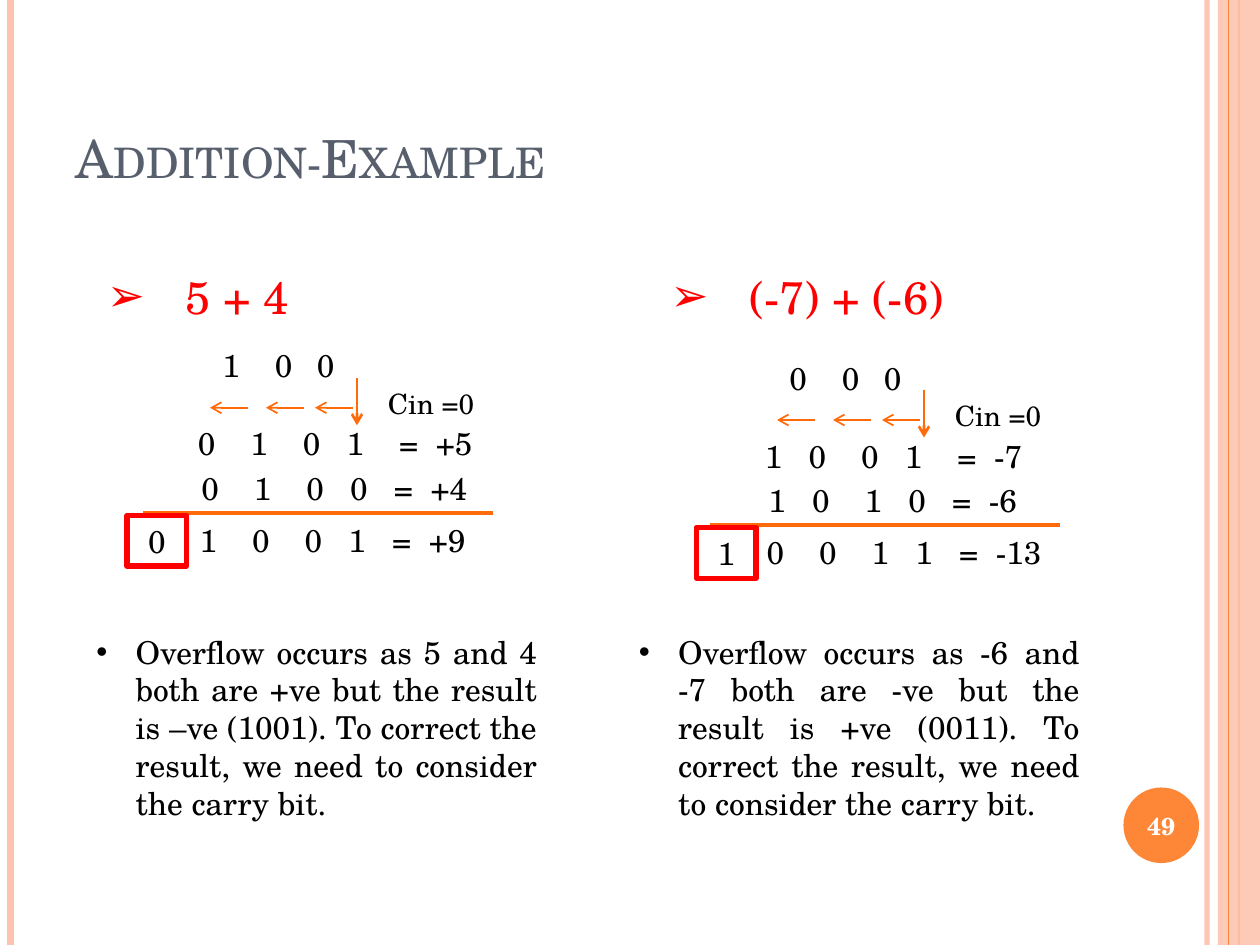
import itertools

import pptx
import pptx.dml.color
import pptx.enum.shapes
import pptx.enum.text
import pptx.oxml.ns
import pptx.oxml.xmlchemy
import pptx.util

Pt = pptx.util.Pt
qn = pptx.oxml.ns.qn
SHAPE = pptx.enum.shapes.MSO_SHAPE
ALIGN = pptx.enum.text.PP_ALIGN
ANCHOR = pptx.enum.text.MSO_ANCHOR

FONT = "TeX Gyre Schola"
COLORS = {
    "pink": "FEC3AE",
    "orange": "FE8637",
    "arrow": "FF6B0A",
    "title": "575F6D",
    "red": "FF0000",
    "black": "000000",
    "white": "FFFFFF",
}


def sub(parent, tag, **attrs):
    el = pptx.oxml.xmlchemy.OxmlElement(tag)
    for key, value in attrs.items():
        el.set(key, str(value))
    parent.append(el)
    return el


class Deck:
    def __init__(self, width, height):
        self.prs = pptx.Presentation()
        self.prs.slide_width, self.prs.slide_height = Pt(width), Pt(height)
        self.s = self.prs.slides.add_slide(self.prs.slide_layouts[5])

    def paint(self, fmt, color, opacity=100):
        fmt.solid()
        fmt.fore_color.rgb = pptx.dml.color.RGBColor.from_string(COLORS[color])
        if opacity < 100:
            clr = fmt._xPr.find(qn("a:solidFill"))[0]
            sub(clr, "a:alpha", val=opacity * 1000)

    def run(self, p, text, size, color, bold=False):
        r = p.add_run()
        r.text = text
        r.font.name, r.font.size, r.font.bold = FONT, Pt(size), bold
        self.paint(r.font.fill, color)
        return r

    def title(self, text, x, y, w, h):
        sp = self.s.shapes.title
        sp.left, sp.top, sp.width, sp.height = Pt(x), Pt(y), Pt(w), Pt(h)
        tf = sp.text_frame
        tf.word_wrap = True
        tf.auto_size = pptx.enum.text.MSO_AUTO_SIZE.NONE
        tf.vertical_anchor = ANCHOR.BOTTOM
        p = tf.paragraphs[0]
        p.alignment = ALIGN.LEFT
        r = self.run(p, text, 30, "title")
        r._r.get_or_add_rPr().set("cap", "small")

    def text(self, text, x, y, w, h, size=18, color="black", align=ALIGN.LEFT):
        sp = self.s.shapes.add_textbox(Pt(x), Pt(y), Pt(w), Pt(h))
        sp.text_frame.word_wrap = True
        p = sp.text_frame.paragraphs[0]
        p.alignment = align
        self.run(p, text, size, color)
        return p

    def bullet(self, char, indent, *args, **style):
        pPr = self.text(*args, **style)._p.get_or_add_pPr()
        pPr.set("marL", str(Pt(indent)))
        pPr.set("indent", str(-Pt(indent)))
        sub(pPr, "a:buFont", typeface="Arial")
        sub(pPr, "a:buChar", char=char)

    def sum_row(self, text, steps, x, y):
        words = text.split()
        p = self.text(words[0], x, y, 190, 29)
        for word in words[1:]:
            self.run(p, "\t" + word, 18, "black")
        tabs = sub(p._p.get_or_add_pPr(), "a:tabLst")
        for pos in itertools.accumulate(steps):
            sub(tabs, "a:tab", pos=Pt(pos), algn="l")

    def shape(self, kind, x, y, w, h, fill=None, line=None, opacity=100,
              text=None, size=18, color="black", bold=False):
        sp = self.s.shapes.add_shape(kind, Pt(x), Pt(y), Pt(w), Pt(h))
        sp.shadow.inherit = False
        if fill:
            self.paint(sp.fill, fill, opacity)
        else:
            sp.fill.background()
        if line:
            self.paint(sp.line.fill, line)
            sp.line.width = Pt(3)
        else:
            sp.line.fill.background()
        if text:
            tf = sp.text_frame
            tf.margin_left = tf.margin_right = 0
            tf.vertical_anchor = ANCHOR.MIDDLE
            p = tf.paragraphs[0]
            p.alignment = ALIGN.CENTER
            self.run(p, text, size, color, bold)

    def line(self, x1, y1, x2, y2, color, width, opacity=100, arrow=False):
        c = self.s.shapes.add_connector(
            pptx.enum.shapes.MSO_CONNECTOR.STRAIGHT, Pt(x1), Pt(y1), Pt(x2), Pt(y2))
        self.paint(c.line.fill, color, opacity)
        c.line.width = Pt(width)
        if arrow:
            sub(c.line._get_or_add_ln(), "a:tailEnd", type="arrow")
        sub(c._element.spPr, "a:effectLst")

    def addition(self, dx, dy, carries, rows, carry_out, box_x):
        for x, tip, digit in zip((120, 150, 174), (120, 152, 180), carries):
            self.text(digit, dx + x, dy + 194.4, 18, 29)
            self.line(dx + tip + 22, dy + 233, dx + tip, dy + 233, "arrow", 1, arrow=True)
        self.line(dx + 204, dy + 216, dx + 204, dy + 243, "arrow", 1.5, arrow=True)
        self.text("Cin =0", dx + 214.6, dy + 217.4, 75, 27, size=16)
        for (text, steps), x, y in zip(rows, (106, 108, 107), (239, 264.2, 294)):
            self.sum_row(text, steps, dx + x, dy + y)
        self.line(dx + 82, dy + 293, dx + 282, dy + 293, "arrow", 2.25)
        self.shape(SHAPE.RECTANGLE, box_x, dy + 294.4, 34, 29, line="red", text=carry_out)


def main():
    deck = Deck(720, 540)

    for x, color, width, opacity in (
            (689.8, "pink", 3, 93), (6, "pink", 4.5, 100), (708, "orange", 1.5, 100)):
        deck.line(x, 0, x, 540, color, width, opacity)
    deck.shape(SHAPE.RECTANGLE, 696, 0, 24, 540, fill="pink", opacity=87)
    deck.line(702, 0, 702, 540, "orange", 0.75)
    deck.shape(SHAPE.OVAL, 642, 450, 43.2, 43.2, fill="orange",
               text="49", size=14, color="white", bold=True)
    deck.title("Addition-Example", 36, 21.6, 588, 90)

    wide, narrow, value = 30, 25, 21
    result = (wide, wide, narrow, narrow, value)
    deck.addition(0, 0, "100", (
        ("0 1 0 1 = +5", (wide, wide, narrow, wide, value)),
        ("0 1 0 0 = +4", result),
        ("1 0 0 1 = +9", result)), "0", 72.6)
    deck.addition(324, 7, "000", (
        ("1 0 0 1 = -7", (narrow, wide, narrow, wide, value)),
        ("1 0 1 0 = -6", (narrow, wide, narrow, narrow, value)),
        ("0 0 1 1 = -13", result)), "1", 398)

    for head_x, head, note_x, note in (
            (54, "5 + 4", 48,
             "Overflow occurs as 5 and 4 both are +ve but the result is –ve (1001). "
             "To correct the result, we need to consider the carry bit."),
            (376, "(-7) + (-6)", 358,
             "Overflow occurs as -6 and -7 both are -ve but the result is +ve (0011). "
             "To correct the result, we need to consider the carry bit.")):
        deck.bullet("➢", 45, head, head_x, 150, 278, 39, size=26, color="red")
        deck.bullet("•", 22.5, note, note_x, 358, 266, 117, align=ALIGN.JUSTIFY)

    deck.prs.save("out.pptx")


if __name__ == "__main__":
    main()
